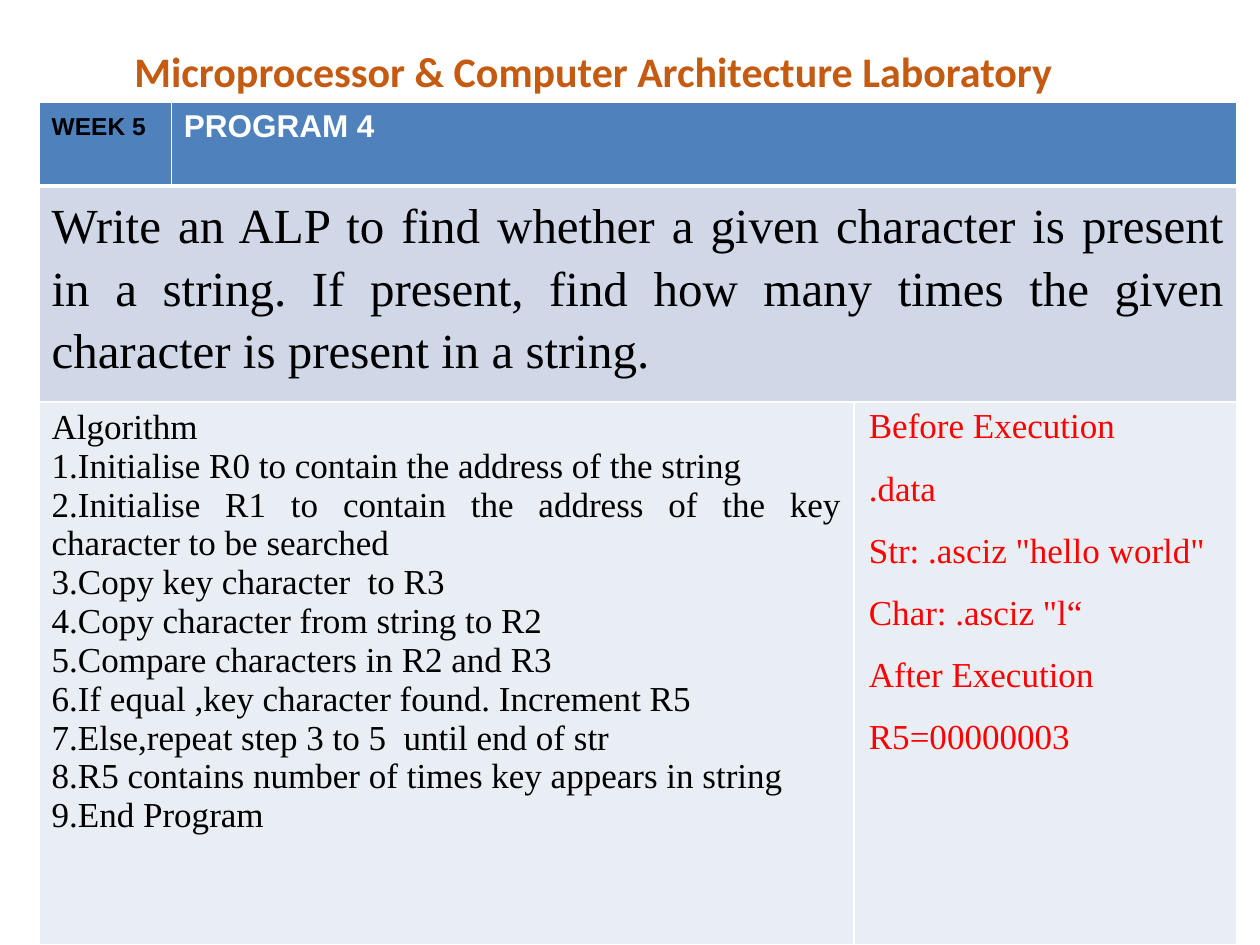
from dataclasses import dataclass

from lxml import etree
from pptx import Presentation
from pptx.dml.color import RGBColor
from pptx.enum.text import MSO_ANCHOR, PP_ALIGN
from pptx.oxml.ns import qn
from pptx.table import Table, _Cell
from pptx.text.text import TextFrame
from pptx.util import Pt

LEFT = PP_ALIGN.LEFT
CENTER = PP_ALIGN.CENTER
JUSTIFY = PP_ALIGN.JUSTIFY
MIDDLE = MSO_ANCHOR.MIDDLE


@dataclass(frozen=True)
class Theme:
    title: str = "C55A11"
    header: str = "4F81BD"
    task: str = "D0D8E8"
    detail: str = "E9EDF4"
    black: str = "000000"
    white: str = "FFFFFF"
    red: str = "FF0000"
    heading_font: str = "Calibri"
    label_font: str = "Arial"
    body_font: str = "Times New Roman"
    title_size: float = 24
    week_size: float = 14
    program_size: float = 18
    task_size: float = 28
    detail_size: float = 20


@dataclass(frozen=True)
class TextFormat:
    font: str
    size: float
    color: str
    bold: bool = False
    align: PP_ALIGN = JUSTIFY
    line_spacing: float = 1.0
    space_after: float = 0


@dataclass(frozen=True)
class CellContent:
    row: int
    column: int
    last_column: int
    lines: tuple[str, ...]
    fill: str
    text_format: TextFormat
    margins: tuple[float, float] = (7.2, 3.6)


THEME = Theme()
COLUMN_WIDTHS = (75.6, 390, 218.9)
ROW_HEIGHTS = (47.7, 123.4, 310)
THIN, THICK = 1, 3

ALGORITHM = (
    "Algorithm",
    "1.Initialise R0 to contain the address of the string ",
    "2.Initialise R1 to contain the address of the key character to be searched",
    "3.Copy key character  to R3",
    "4.Copy character from string to R2",
    "5.Compare characters in R2 and R3",
    "6.If equal ,key character found. Increment R5",
    "7.Else,repeat step 3 to 5  until end of str",
    "8.R5 contains number of times key appears in string",
    "9.End Program",
)
EXECUTION = (
    "Before Execution",
    ".data",
    'Str: .asciz "hello world"',
    'Char: .asciz "l“',
    "After Execution",
    "R5=00000003",
)
TASK = (
    "Write an ALP to find whether a given character is present in a string. "
    "If present, find how many times the given character is present in a string."
)

CELLS = (
    CellContent(0, 0, 0, ("WEEK 5",), THEME.header,
                TextFormat(THEME.label_font, THEME.week_size, THEME.black,
                           bold=True, line_spacing=1.15)),
    CellContent(0, 1, 2, ("PROGRAM 4",), THEME.header,
                TextFormat(THEME.label_font, THEME.program_size, THEME.white,
                           bold=True, align=LEFT)),
    CellContent(1, 0, 2, (TASK,), THEME.task,
                TextFormat(THEME.body_font, THEME.task_size, THEME.black,
                           line_spacing=1.15, space_after=10)),
    CellContent(2, 0, 1, ALGORITHM, THEME.detail,
                TextFormat(THEME.body_font, THEME.detail_size, THEME.black)),
    CellContent(2, 2, 2, EXECUTION, THEME.detail,
                TextFormat(THEME.body_font, THEME.detail_size, THEME.red,
                           line_spacing=1.15, space_after=10),
                margins=(8.64, 0)),
)


def write_text(text_frame: TextFrame, lines: tuple[str, ...], *,
               text_format: TextFormat) -> None:
    for index, line in enumerate(lines):
        paragraph = text_frame.add_paragraph() if index else text_frame.paragraphs[0]
        paragraph.alignment = text_format.align
        paragraph.line_spacing = text_format.line_spacing
        paragraph.space_after = Pt(text_format.space_after)
        run = paragraph.add_run()
        run.text = line
        run.font.name = text_format.font
        run.font.size = Pt(text_format.size)
        run.font.bold = text_format.bold
        run.font.color.rgb = RGBColor.from_string(text_format.color)


def set_borders(cell: _Cell, row: int) -> None:
    properties = cell._tc.get_or_add_tcPr()
    widths = {
        "a:lnL": THIN,
        "a:lnR": THIN,
        "a:lnT": THICK if row == 1 else THIN,
        "a:lnB": THICK if row == 0 else THIN,
    }
    for position, (tag, width) in enumerate(widths.items()):
        line = etree.Element(qn(tag), w=str(Pt(width)))
        fill = etree.SubElement(line, qn("a:solidFill"))
        etree.SubElement(fill, qn("a:srgbClr"), val=THEME.white)
        properties.insert(position, line)


def fill_cell(table: Table, content: CellContent) -> None:
    cell = table.cell(content.row, content.column)
    if content.last_column > content.column:
        cell.merge(table.cell(content.row, content.last_column))
    cell.margin_left = cell.margin_right = Pt(content.margins[0])
    cell.margin_top = cell.margin_bottom = Pt(content.margins[1])
    write_text(cell.text_frame, content.lines, text_format=content.text_format)
    for column in range(content.column, content.last_column + 1):
        part = table.cell(content.row, column)
        part.fill.solid()
        part.fill.fore_color.rgb = RGBColor.from_string(content.fill)
        set_borders(part, content.row)


def build() -> None:
    presentation = Presentation()
    presentation.slide_width, presentation.slide_height = Pt(720), Pt(540)
    slide = presentation.slides.add_slide(presentation.slide_layouts[6])

    title = slide.shapes.add_textbox(Pt(18), Pt(22.3), Pt(642.2), Pt(36))
    title.text_frame.word_wrap = True
    title.text_frame.vertical_anchor = MIDDLE
    write_text(title.text_frame, ("Microprocessor & Computer Architecture Laboratory",),
               text_format=TextFormat(THEME.heading_font, THEME.title_size, THEME.title,
                                      bold=True, align=CENTER))

    table = slide.shapes.add_table(
        len(ROW_HEIGHTS), len(COLUMN_WIDTHS), Pt(22.3), Pt(58.5),
        Pt(sum(COLUMN_WIDTHS)), Pt(sum(ROW_HEIGHTS))).table
    table.horz_banding = False
    for column, width in zip(table.columns, COLUMN_WIDTHS):
        column.width = Pt(width)
    for row, height in zip(table.rows, ROW_HEIGHTS):
        row.height = Pt(height)
    for content in CELLS:
        fill_cell(table, content)

    presentation.save("out.pptx")


build()
